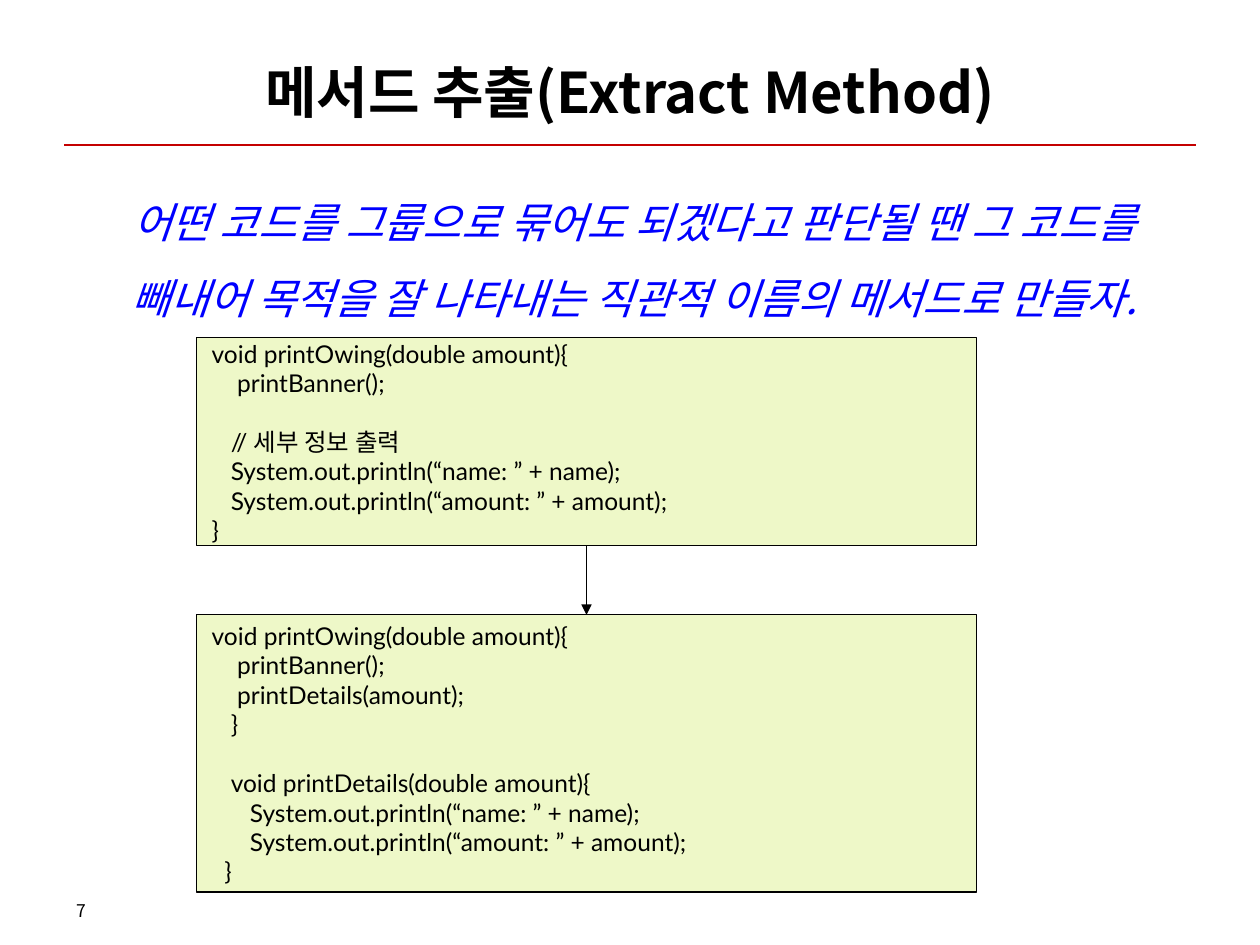
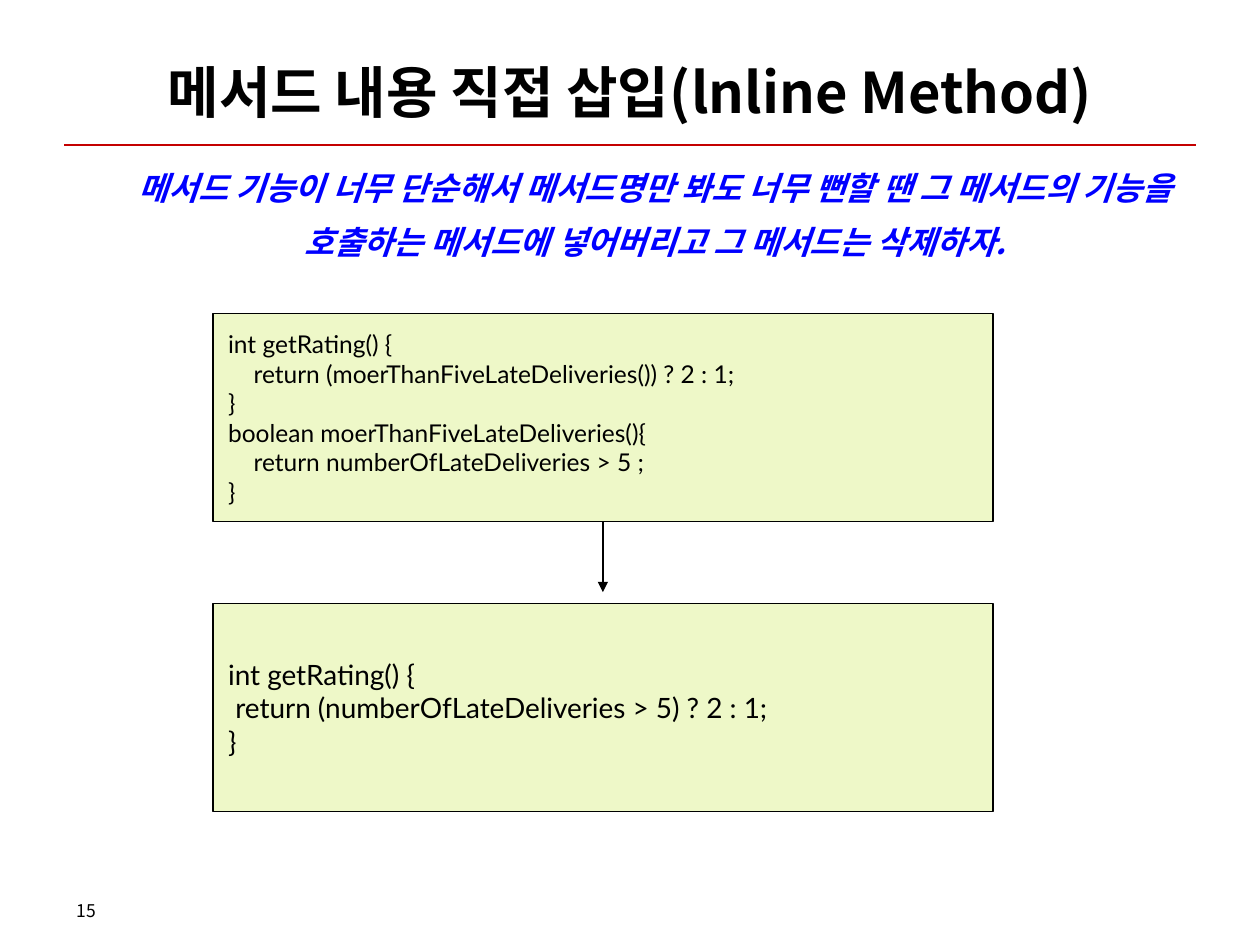
"""Build two slides on refactoring methods: code before, an arrow, code after."""
from lxml.etree import SubElement
from pptx import Presentation
from pptx.dml.color import RGBColor
from pptx.enum.shapes import MSO_CONNECTOR, MSO_SHAPE
from pptx.enum.text import MSO_ANCHOR, PP_ALIGN
from pptx.oxml.ns import qn
from pptx.util import Inches, Pt

KOREAN, LATIN = "Noto Sans CJK KR", "Lato"
BLACK, RED, BLUE, GREEN = "000000", "C40000", "0000FF", "EEF8C8"
rgb = RGBColor.from_string

deck = Presentation()
deck.slide_width, deck.slide_height = Inches(10), Inches(7.5)
COLUMN, ROW = deck.slide_width / 100, deck.slide_height / 75
CODE_WIDTH, CODE_HEIGHT = 61.9, 16.5
SPACE_SHARE, LINE_SHARE = 0.26, 1.2


def write(paragraph, text, size, face=KOREAN, color=BLACK, bold=False, italic=False):
    paragraph.text = text
    font = paragraph.font
    font.size, font.name, font.bold, font.italic = Pt(size), face, bold, italic
    font.color.rgb = rgb(color)
    SubElement(font._element, qn("a:ea")).set("typeface", KOREAN)


def rule(slide, start, end, color):
    (x1, y1), (x2, y2) = start, end
    line = slide.shapes.add_connector(
        MSO_CONNECTOR.STRAIGHT, int(x1 * COLUMN), int(y1 * ROW), int(x2 * COLUMN), int(y2 * ROW))
    line.line.color.rgb, line.line.width = rgb(color), Pt(0.75)
    SubElement(line._element.spPr, qn("a:effectLst"))
    return line


lessons = [
    dict(number="7", title="메서드 추출(Extract Method)",
         advice="어떤 코드를 그룹으로 묶어도 되겠다고 판단될 땐 그 코드를 "
                "빼내어 목적을 잘 나타내는 직관적 이름의 메서드로 만들자.",
         advice_area=(5, 13.1, 90.7, 16.5), advice_size=24, advice_bold=False,
         leading=1.5, lead_in=6, code_left=15.6, arrow_end=48.8,
         listings=[
             (26.8, CODE_HEIGHT, 14, [
                 (0, "void printOwing(double amount){"),
                 (4, "printBanner();"),
                 None,
                 (3, "// 세부 정보 출력"),
                 (3, "System.out.println(“name: ” + name);"),
                 (3, "System.out.println(“amount: ” + amount);"),
                 (0, "}")]),
             (48.8, 22, 14, [
                 (0, "void printOwing(double amount){"),
                 (4, "printBanner();"),
                 (4, "printDetails(amount);"),
                 (3, "}"),
                 None,
                 (3, "void printDetails(double amount){"),
                 (6, "System.out.println(“name: ” + name);"),
                 (6, "System.out.println(“amount: ” + amount);"),
                 (2, "}")])]),
    dict(number="15", title="메서드 내용 직접 삽입(lnline Method)",
         advice="메서드 기능이 너무 단순해서 메서드명만 봐도 너무 뻔할 땐 그 메서드의 기능을 "
                "호출하는 메서드에 넣어버리고 그 메서드는 삭제하자.",
         advice_area=(9, 11.6, 86, 11.7), advice_size=18.5, advice_bold=True,
         leading=1.4, lead_in=5, code_left=16.9, arrow_end=47,
         listings=[
             (24.9, CODE_HEIGHT, 14, [
                 (0, "int getRating() {"),
                 (4, "return (moerThanFiveLateDeliveries()) ? 2 : 1;"),
                 (0, "}"),
                 (0, "boolean moerThanFiveLateDeliveries(){"),
                 (4, "return numberOfLateDeliveries > 5 ;"),
                 (0, "}")]),
             (47.9, CODE_HEIGHT, 16, [
                 (0, "int getRating() {"),
                 (1, "return (numberOfLateDeliveries > 5) ? 2 : 1;"),
                 (0, "}")])]),
]

for lesson in lessons:
    slide = deck.slides.add_slide(deck.slide_layouts[6])
    rule(slide, (5.1, 11.5), (94.9, 11.5), RED)

    frames = []
    for left, top, width, height in [(5, 3, 90, 8.5), lesson["advice_area"], (5.1, 70.9, 23.3, 2.8)]:
        box = slide.shapes.add_textbox(
            int(left * COLUMN), int(top * ROW), int(width * COLUMN), int(height * ROW))
        box.text_frame.word_wrap = True
        frames.append(box.text_frame)
    heading, advice, number = frames

    heading.vertical_anchor = MSO_ANCHOR.MIDDLE
    heading.paragraphs[0].alignment = PP_ALIGN.CENTER
    write(heading.paragraphs[0], lesson["title"], 32, bold=True)

    advice_line = advice.paragraphs[0]
    advice_line.alignment = PP_ALIGN.CENTER
    advice_line.line_spacing, advice_line.space_before = lesson["leading"], Pt(lesson["lead_in"])
    write(advice_line, lesson["advice"], lesson["advice_size"], color=BLUE,
          bold=lesson["advice_bold"], italic=True)

    write(number.paragraphs[0], lesson["number"], 10)

    for top, height, size, code in lesson["listings"]:
        panel = slide.shapes.add_shape(
            MSO_SHAPE.RECTANGLE, int(lesson["code_left"] * COLUMN), int(top * ROW),
            int(CODE_WIDTH * COLUMN), int(height * ROW))
        panel.shadow.inherit = False
        panel.fill.solid()
        panel.fill.fore_color.rgb = rgb(GREEN)
        panel.line.color.rgb, panel.line.width = rgb(BLACK), Pt(0.75)
        frame = panel.text_frame
        frame.word_wrap, frame.vertical_anchor = True, MSO_ANCHOR.MIDDLE
        frame.margin_left = frame.margin_right = Inches(0.12)
        frame.margin_top = frame.margin_bottom = Inches(0.06)
        for row, statement in enumerate(code):
            if statement is None:
                continue
            indent, text = statement
            paragraph = frame.add_paragraph() if row else frame.paragraphs[0]
            paragraph.alignment = PP_ALIGN.LEFT
            if row and code[row - 1] is None:
                paragraph.space_before = Pt(size * LINE_SHARE)
            write(paragraph, text, size, LATIN)
            paragraph._p.pPr.set("marL", str(Pt(indent * size * SPACE_SHARE)))

    first_top, first_height = lesson["listings"][0][:2]
    middle = lesson["code_left"] + CODE_WIDTH / 2
    arrow = rule(slide, (middle, first_top + first_height), (middle, lesson["arrow_end"]), BLACK)
    SubElement(arrow.line._get_or_add_ln(), qn("a:tailEnd")).set("type", "triangle")

deck.save("out.pptx")
